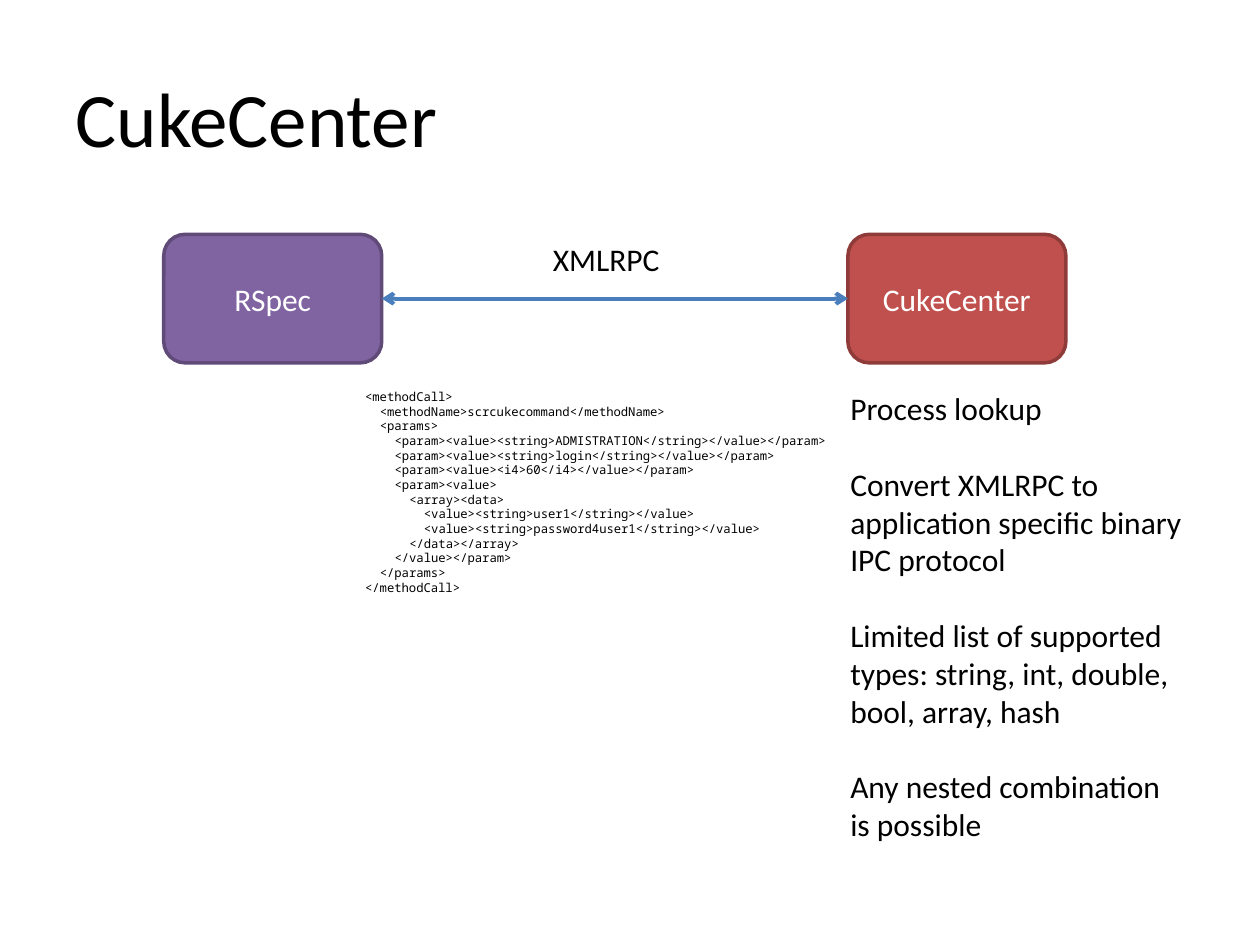
from lxml.etree import SubElement
from pptx import Presentation
from pptx.dml.color import RGBColor
from pptx.enum.shapes import MSO_CONNECTOR, MSO_SHAPE
from pptx.enum.text import MSO_ANCHOR, PP_ALIGN
from pptx.oxml.ns import qn
from pptx.util import Inches, Pt

COLORS = {
    "text": "000000", "white": "FFFFFF", "arrow": "4B7EBC",
    "purple": "8064A2", "purple edge": "5F4A78",
    "red": "C0504D", "red edge": "8E3B39",
}
BOX_TOP, BOX_WIDTH, BOX_HEIGHT = 1.86, 1.73, 1.02
RSPEC_LEFT, CENTER_LEFT = 1.3, 6.73
NOTES_TOP = 3.04
CODE_SIZE = 7
CODE_INDENT = Pt(CODE_SIZE * 0.6 * 2)  # two monospace characters


def style(paragraph, size, color="text", face="Calibri", align=PP_ALIGN.LEFT):
    paragraph.alignment = align
    paragraph.font.size = Pt(size)
    paragraph.font.name = face
    paragraph.font.color.rgb = RGBColor.from_string(COLORS[color])


def add_text(left, top, width, height, lines, size, face="Calibri", wrap=True):
    frame = slide.shapes.add_textbox(
        Inches(left), Inches(top), Inches(width), Inches(height)).text_frame
    frame.word_wrap = wrap
    frame.text = "\n".join(lines)
    for paragraph in frame.paragraphs:
        style(paragraph, size, face=face)
    return frame.paragraphs


presentation = Presentation()
presentation.slide_width, presentation.slide_height = Inches(10), Inches(7.5)
slide = presentation.slides.add_slide(presentation.slide_layouts[5])

# Title
title = slide.shapes.title
title.left, title.top = Inches(0.5), Inches(0.3)
title.width, title.height = Inches(9), Inches(1.25)
title.text_frame.text = "CukeCenter"
title.text_frame.vertical_anchor = MSO_ANCHOR.MIDDLE
style(title.text_frame.paragraphs[0], 44)

# The two communicating systems
for name, left, fill in (("CukeCenter", CENTER_LEFT, "red"),
                         ("RSpec", RSPEC_LEFT, "purple")):
    system = slide.shapes.add_shape(
        MSO_SHAPE.ROUNDED_RECTANGLE, Inches(left), Inches(BOX_TOP),
        Inches(BOX_WIDTH), Inches(BOX_HEIGHT))
    system.shadow.inherit = False
    system.fill.solid()
    system.fill.fore_color.rgb = RGBColor.from_string(COLORS[fill])
    system.line.color.rgb = RGBColor.from_string(COLORS[fill + " edge"])
    system.line.width = Pt(2)
    system.text_frame.text = name
    system.text_frame.vertical_anchor = MSO_ANCHOR.MIDDLE
    style(system.text_frame.paragraphs[0], 18, "white", align=PP_ALIGN.CENTER)

# Two-way link between them
middle = Inches(BOX_TOP + BOX_HEIGHT / 2)
link = slide.shapes.add_connector(
    MSO_CONNECTOR.STRAIGHT, Inches(RSPEC_LEFT + BOX_WIDTH), middle,
    Inches(CENTER_LEFT), middle)
link.line.color.rgb = RGBColor.from_string(COLORS["arrow"])
link.line.width = Pt(2.25)
for end in ("a:headEnd", "a:tailEnd"):
    SubElement(link.line._get_or_add_ln(), qn(end), type="arrow")
SubElement(link._element.spPr, qn("a:effectLst"))
add_text(4.29, BOX_TOP, 1.06, 0.4, ["XMLRPC"], 18, wrap=False)

# Sample request: indent level and line
request = [
    (0, "<methodCall>"),
    (1, "<methodName>scrcukecommand</methodName>"),
    (1, "<params>"),
    (2, "<param><value><string>ADMISTRATION</string></value></param>"),
    (2, "<param><value><string>login</string></value></param>"),
    (2, "<param><value><i4>60</i4></value></param>"),
    (2, "<param><value>"),
    (3, "<array><data>"),
    (4, "<value><string>user1</string></value>"),
    (4, "<value><string>password4user1</string></value>"),
    (3, "</data></array>"),
    (2, "</value></param>"),
    (1, "</params>"),
    (0, "</methodCall>"),
]
code_lines = add_text(2.8, NOTES_TOP, 3.96, 1.87, [line for _, line in request],
                      CODE_SIZE, "Noto Sans Mono")
for paragraph, (level, _) in zip(code_lines, request):
    paragraph._p.get_or_add_pPr().set("marL", str(level * CODE_INDENT))

# What the center does
duties = [
    "Process lookup",
    "Convert XMLRPC to application specific binary IPC protocol",
    "Limited list of supported types: string, int, double, bool, array, hash",
    "Any nested combination is possible",
]
for paragraph in add_text(6.65, NOTES_TOP, 2.83, 3.74, duties, 18)[1:]:
    paragraph.space_before = Pt(21.6)

presentation.save("out.pptx")
